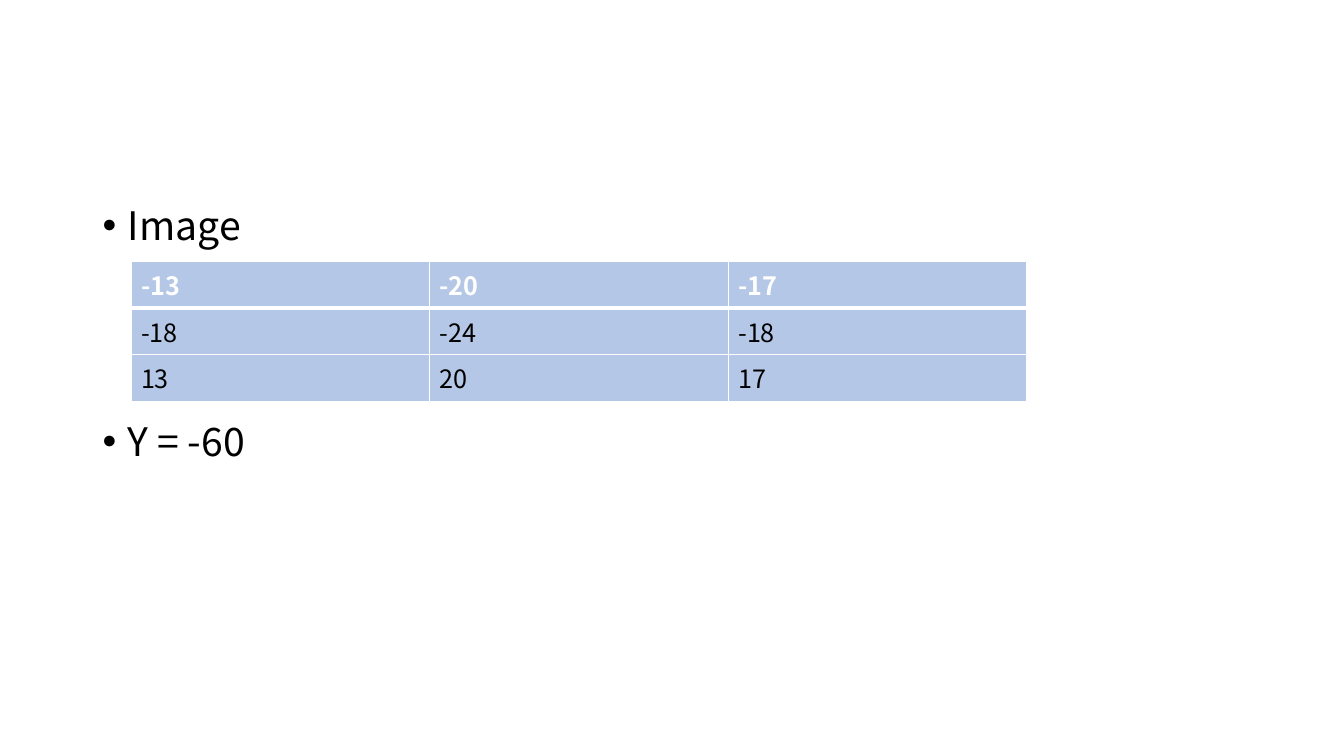
import dataclasses
from typing import Any

import lxml.etree
import pptx
import pptx.dml.color
import pptx.enum.text
import pptx.oxml.ns
import pptx.util

Cm = pptx.util.Cm
Pt = pptx.util.Pt

COLORS = {"text": "000000", "white": "FFFFFF", "cell": "B4C7E7"}
FONT = "Noto Sans CJK SC"
BULLET_INDENT = Cm(0.64)
THIN, THICK = Pt(1), Pt(3)


@dataclasses.dataclass(frozen=True)
class Bullet:
    text: str
    space_before: float


BULLETS = [Bullet("Image", 10), Bullet("Y = -60", 124)]
IMAGE_VALUES = [[-13, -20, -17], [-18, -24, -18], [13, 20, 17]]


def set_attributes(target: Any, values: dict[str, Any]) -> None:
    for name, value in values.items():
        setattr(target, name, value)


def rgb(color: str) -> pptx.dml.color.RGBColor:
    return pptx.dml.color.RGBColor.from_string(COLORS[color])


def add_span(para: Any, text: str, size: float, color: str, bold: bool = False) -> None:
    span = para.add_run()
    span.text = text
    set_attributes(span.font, {"name": FONT, "size": Pt(size), "bold": bold})
    span.font.color.rgb = rgb(color)


def fill_body(body: Any, bullets: list[Bullet]) -> None:
    set_attributes(body, {"left": Cm(2.33), "top": Cm(5.07), "width": Cm(29.21), "height": Cm(12.09)})
    frame = body.text_frame
    set_attributes(frame, {"word_wrap": True, "auto_size": pptx.enum.text.MSO_AUTO_SIZE.NONE})
    for index, bullet in enumerate(bullets):
        para = frame.add_paragraph() if index else frame.paragraphs[0]
        set_attributes(para, {"line_spacing": 0.9, "space_before": Pt(bullet.space_before)})
        properties = para._p.get_or_add_pPr()
        properties.set("marL", str(BULLET_INDENT))
        properties.set("indent", str(-BULLET_INDENT))
        add_span(para, bullet.text, 28, "text")


def add_border(cell: Any, side: str, width: int) -> None:
    """Draw one white cell border; side is L, R, T or B, in that order."""
    qn = pptx.oxml.ns.qn
    line = lxml.etree.SubElement(cell._tc.get_or_add_tcPr(), qn(f"a:ln{side}"), w=str(width))
    fill = lxml.etree.SubElement(line, qn("a:solidFill"))
    lxml.etree.SubElement(fill, qn("a:srgbClr"), val=COLORS["white"])


def add_image_table(page: Any, values: list[list[int]]) -> None:
    table = page.shapes.add_table(
        len(values), len(values[0]), Cm(3.3), Cm(6.59), Cm(22.58), Cm(3.09)
    ).table
    for row, numbers in enumerate(values):
        header = row == 0
        widths = {
            "L": THIN,
            "R": THIN,
            "T": THICK if row == 1 else THIN,
            "B": THICK if header else THIN,
        }
        for column, number in enumerate(numbers):
            cell = table.cell(row, column)
            for side, width in widths.items():
                add_border(cell, side, width)
            cell.fill.solid()
            cell.fill.fore_color.rgb = rgb("cell")
            add_span(cell.text_frame.paragraphs[0], str(number), 18,
                     "white" if header else "text", header)


def main() -> None:
    deck = pptx.Presentation()
    set_attributes(deck, {"slide_width": Cm(33.87), "slide_height": Cm(19.05)})
    page = deck.slides.add_slide(deck.slide_layouts.get_by_name("Title and Content"))
    title = page.shapes.title.element
    title.getparent().remove(title)
    fill_body(page.placeholders[1], BULLETS)
    add_image_table(page, IMAGE_VALUES)
    deck.save("out.pptx")


if __name__ == "__main__":
    main()
